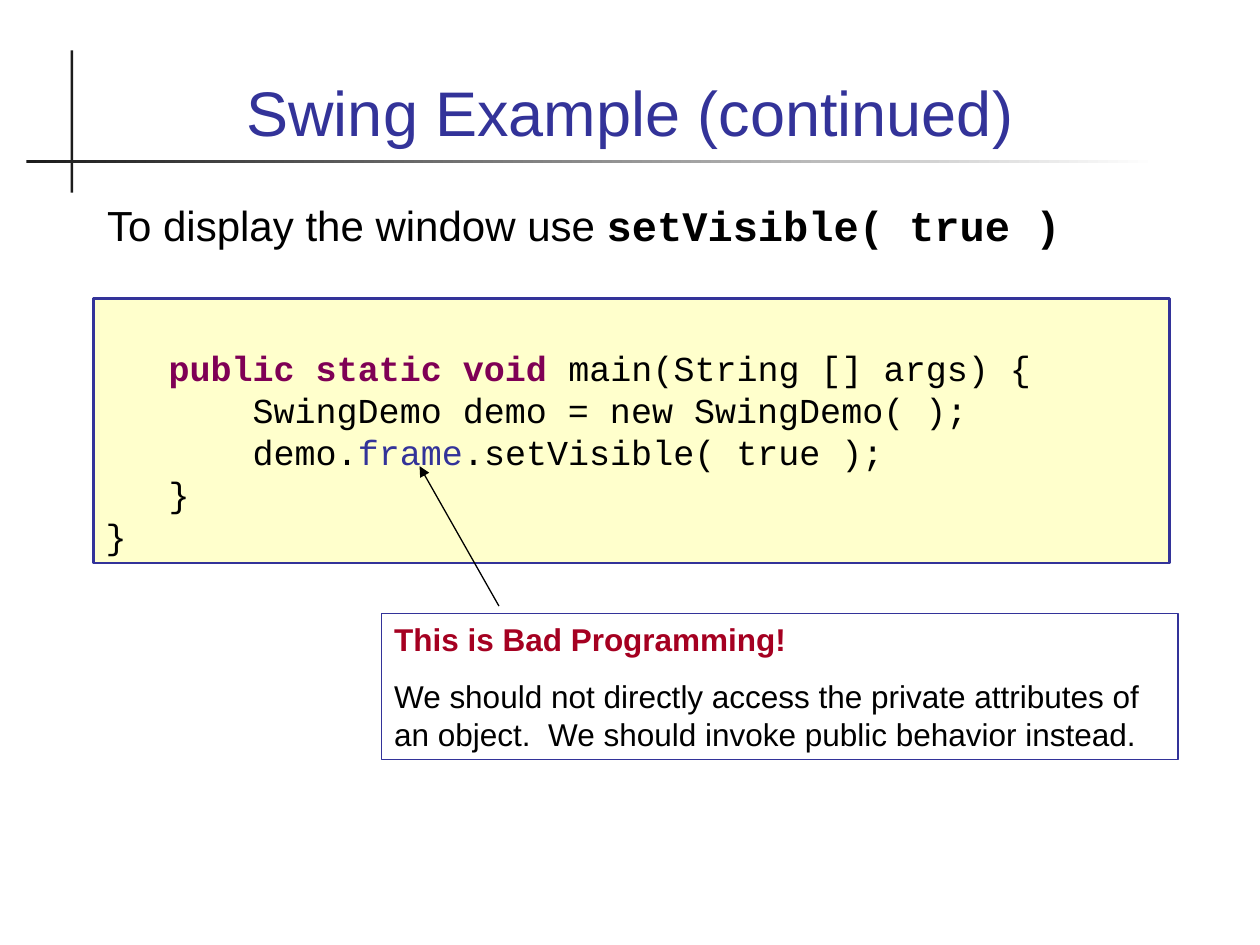
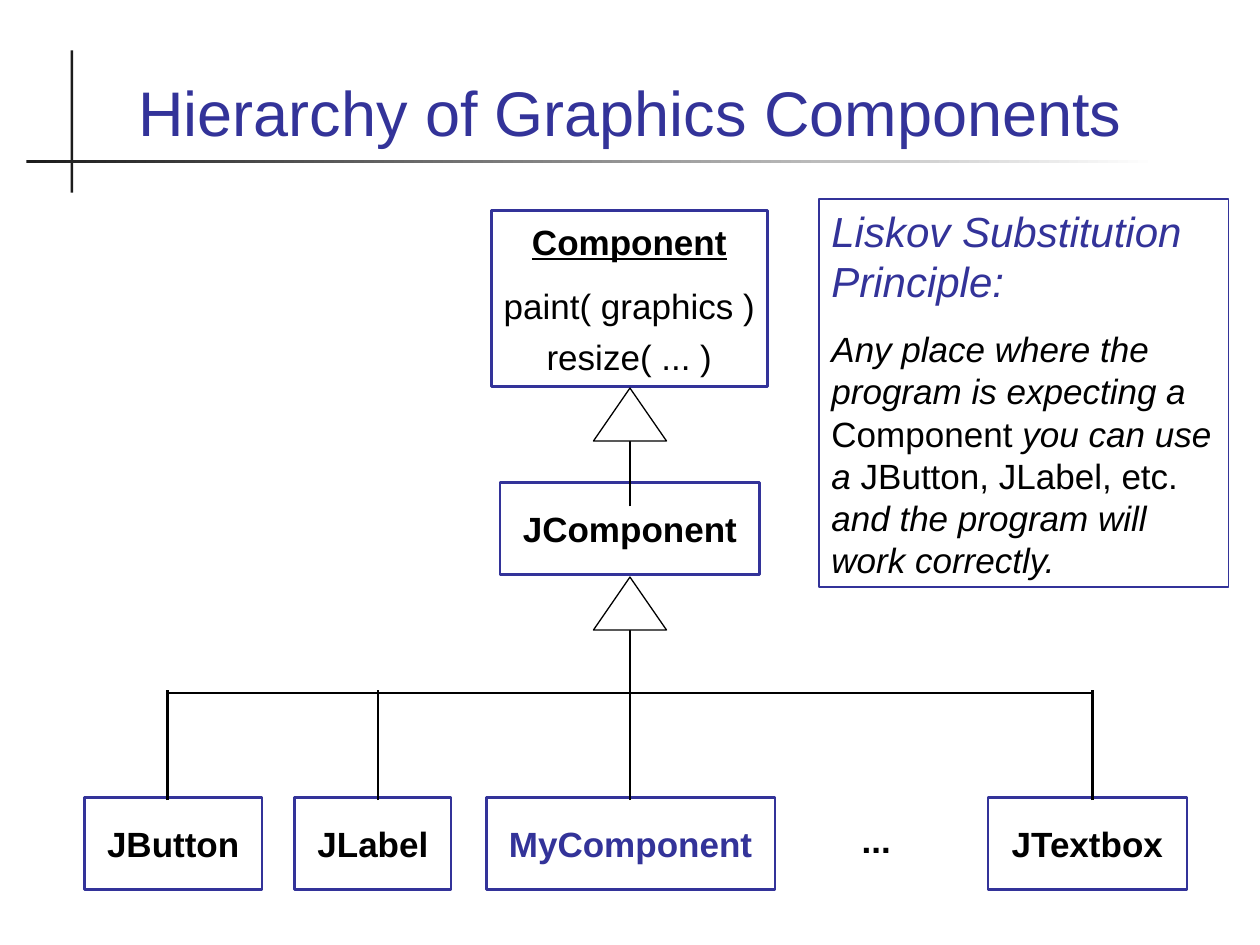
from lxml import etree
from pptx import Presentation
from pptx.dml.color import RGBColor
from pptx.enum.shapes import MSO_CONNECTOR, MSO_SHAPE
from pptx.enum.text import MSO_ANCHOR, PP_ALIGN
from pptx.oxml.ns import qn
from pptx.util import Inches, Pt

RECT = MSO_SHAPE.RECTANGLE
TRI = MSO_SHAPE.ISOSCELES_TRIANGLE
LINE = MSO_CONNECTOR.STRAIGHT
TOP, BOTTOM = MSO_ANCHOR.TOP, MSO_ANCHOR.BOTTOM
LEFT, MID = PP_ALIGN.LEFT, PP_ALIGN.CENTER

HUE = {"blue": "333399", "black": "000000", "dark": "1C1C1C", "white": "FFFFFF",
       "cream": "FFFFCC", "plum": "7F0055", "red": "A50021"}
TAB = 0.39
PITCH = 1.2

# Each span is (text, size, colour, marks): b bold, i italic, u underline, m mono.
TITLES = ["Swing Example (continued)", "Hierarchy of Graphics Components"]
LEAD = [(0, [("To display the window use ", 24, "black", ""),
             ("setVisible( true )", 24, "black", "bm")])]
CODE = [
    (0, [("\tpublic static void", 20, "plum", "bm"),
         (" main(String [] args) {", 20, "black", "m")]),
    (0, [("\t\t SwingDemo demo = new SwingDemo( );", 20, "black", "m")]),
    (0, [("\t\t demo.", 20, "black", "m"), ("frame", 20, "blue", "m"),
         (".setVisible( true );", 20, "black", "m")]),
    (0, [("\t}", 20, "black", "m")]),
    (0, [("}", 20, "black", "m")]),
]
ADVICE = [
    (0, [("This is Bad Programming!", 18, "red", "b")]),
    (11.2, [("We should not directly access the private attributes of an object.  "
             "We should invoke public behavior instead.", 18, "black", "")]),
]
ROOT = [
    (0, [("Component", 20, "black", "bu")]),
    (12.5, [("paint( graphics )", 20, "black", "")]),
    (5, [("resize( ... )", 20, "black", "")]),
]
LISKOV = [
    (0, [("Liskov Substitution Principle:", 24, "blue", "i")]),
    (12.5, [("Any place where the program is expecting a ", 20, "black", "i"),
            ("Component ", 20, "black", ""), ("you can use a ", 20, "black", "i"),
            ("JButton, JLabel, etc. ", 20, "black", ""),
            ("and the program will work correctly.", 20, "black", "i")]),
]
KIDS = [("JButton", 0.67, 1.41, 1.33, "black"), ("JLabel", 2.34, 1.24, 3, "black"),
        ("MyComponent", 3.86, 2.29, 5, "blue"), ("JTextbox", 7.84, 1.58, 8.67, "black")]
AXIS, RAIL, ROW, TALL = 5, 5.5, 6.33, 0.73


def rgb(name):
    return RGBColor.from_string(HUE[name])


def place(shape, at):
    shape.left, shape.top, shape.width, shape.height = map(Inches, at)


def write(frame, paras, align=LEFT, pad=(0.1, 0.05), anchor=TOP, wrap=True, head=0):
    side, edge = map(Inches, pad)
    frame.margin_left = frame.margin_right = side
    frame.margin_top, frame.margin_bottom = edge + Inches(head), edge
    frame.vertical_anchor, frame.word_wrap = anchor, wrap
    for num, (gap, spans) in enumerate(paras):
        para = frame.add_paragraph() if num else frame.paragraphs[0]
        para.alignment = align
        para.line_spacing = Pt(PITCH * max(span[1] for span in spans))
        para.space_before = Pt(gap)
        props = para._p.get_or_add_pPr()
        props.set("marL", "0")
        props.set("indent", "0")
        etree.SubElement(props, qn("a:buNone"))
        tabs = etree.SubElement(props, qn("a:tabLst"))
        for step in range(1, 8):
            etree.SubElement(tabs, qn("a:tab"), pos=str(Inches(TAB * step)), algn="l")
        for text, size, hue, marks in spans:
            run = para.add_run()
            run.text = text
            font = run.font
            font.name = "Courier New" if "m" in marks else "Arial"
            font.size, font.color.rgb = Pt(size), rgb(hue)
            font.bold, font.italic = "b" in marks, "i" in marks
            font.underline = "u" in marks


def draw(slide, at, kind=RECT, fill=None, line="blue", width=1.5):
    shape = slide.shapes.add_shape(kind, *map(Inches, at))
    shape.shadow.inherit = False
    if fill:
        shape.fill.solid()
        shape.fill.fore_color.rgb = rgb(fill)
    else:
        shape.fill.background()
    if line:
        shape.line.color.rgb, shape.line.width = rgb(line), Pt(width)
    else:
        shape.line.fill.background()
    return shape


def link(slide, start, end, width=1.5, arrow=False):
    line = slide.shapes.add_connector(LINE, *map(Inches, start + end))
    line.line.color.rgb, line.line.width = rgb("black"), Pt(width)
    if arrow:
        etree.SubElement(line.line._get_or_add_ln(), qn("a:tailEnd"), type="triangle")
    etree.SubElement(line._element.spPr, qn("a:effectLst"))


def start(deck, layout, title):
    slide = deck.slides.add_slide(deck.slide_layouts[layout])
    draw(slide, (0.56, 0.4, 0.02, 1.13), fill="dark", line=None)
    rule = draw(slide, (0.21, 1.27, 8.98, 0.02), line=None)
    rule.fill.gradient()
    rule.fill.gradient_angle = 0
    for stop, hue in zip(rule.fill.gradient_stops, ("dark", "white")):
        stop.color.rgb = rgb(hue)
    place(slide.shapes.title, (0.67, 0.28, 8.66, 0.95))
    write(slide.shapes.title.text_frame, [(0, [(title, 36, "blue", "")])], MID, anchor=BOTTOM)
    return slide


def label(name, hue="black"):
    return [(0, [(name, 20, hue, "b")])]


def swing(deck):
    slide = start(deck, 1, TITLES[0])
    body = slide.placeholders[1]
    place(body, (0.75, 1.53, 8.66, 0.77))
    write(body.text_frame, LEAD)
    code = draw(slide, (0.74, 2.37, 8.54, 2.1), fill="cream")
    write(code.text_frame, CODE, head=0.33)
    note = draw(slide, (3.03, 4.87, 6.32, 1.16), width=0.75)
    write(note.text_frame, ADVICE)
    link(slide, (3.96, 4.81), (3.33, 3.7), 0.75, True)


def tree(deck):
    slide = start(deck, 5, TITLES[1])
    pad = (0.18, 0.2)
    boxes = [(name, left, wide, ROW, hue) for name, left, wide, stem, hue in KIDS]
    boxes.append(("JComponent", 3.97, 2.06, 3.83, "black"))
    for name, left, wide, top, hue in boxes:
        box = draw(slide, (left, top, wide, TALL))
        write(box.text_frame, label(name, hue), MID, pad, wrap=False)
    root = draw(slide, (3.9, 1.67, 2.19, 1.4))
    write(root.text_frame, ROOT, MID, (0.1, 0.08), wrap=False)
    dots = slide.shapes.add_textbox(*map(Inches, (6.58, ROW, 0.75, TALL)))
    write(dots.text_frame, label("..."), MID, pad)
    stems = [kid[3] for kid in KIDS]
    for stem in stems:
        link(slide, (stem, ROW + 0.02), (stem, RAIL - 0.02))
    link(slide, (stems[0], RAIL), (stems[-1], RAIL))
    for top, foot in ((4.58, RAIL + 0.02), (3.08, 4.02)):
        link(slide, (AXIS, foot), (AXIS, top + 0.32))
        draw(slide, (AXIS - 0.29, top, 0.58, 0.42), TRI, "white", "black", 0.75)
    rule = draw(slide, (6.5, 1.58, 3.25, 3.08), width=0.75)
    write(rule.text_frame, LISKOV)


def main():
    deck = Presentation()
    deck.slide_width, deck.slide_height = Inches(10), Inches(7.5)
    swing(deck)
    tree(deck)
    deck.save("out.pptx")


if __name__ == "__main__":
    main()
